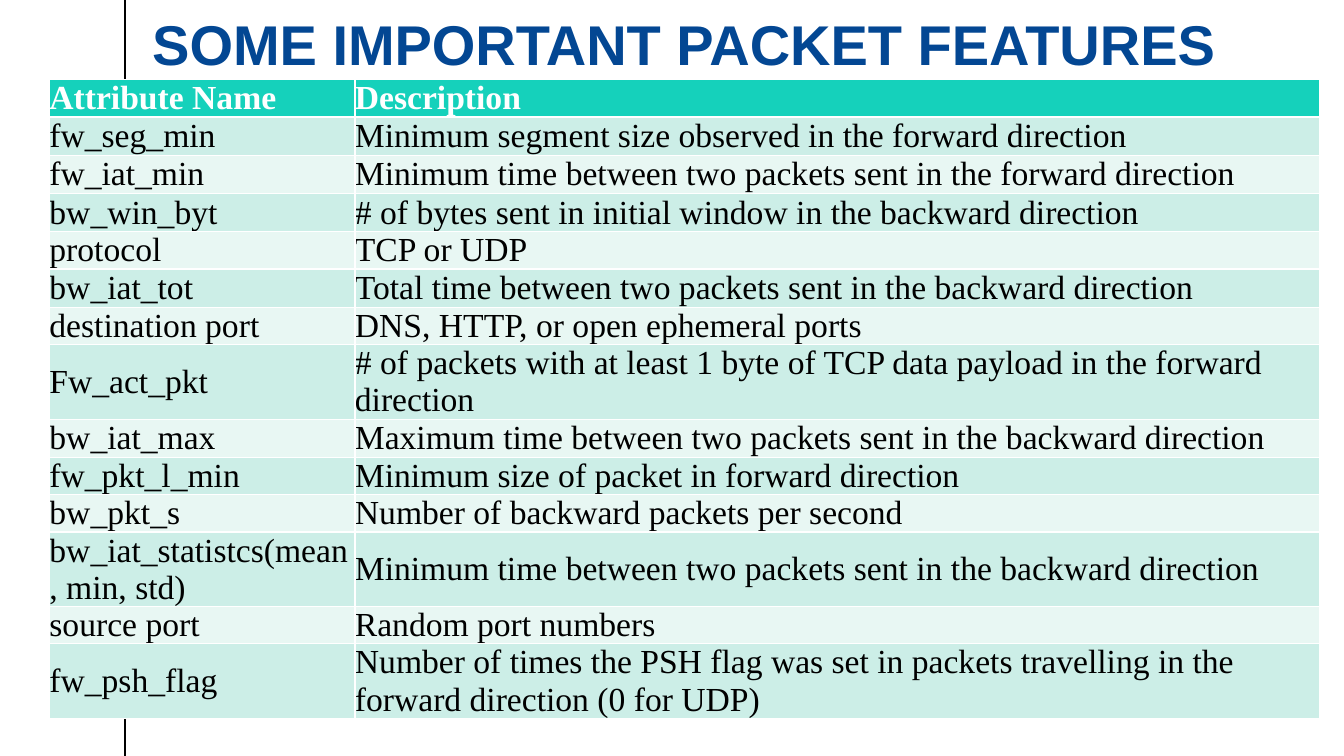
import pptx
import pptx.util
import pptx.dml.color
import pptx.enum.shapes
import pptx.enum.text
import pptx.oxml.ns
from lxml import etree

COLORS = {"title": "034793", "header": "15D1BB", "odd": "CCEEE7", "even": "E8F7F3",
          "light": "FFFFFF", "dark": "000000"}

TITLE = "SOME IMPORTANT PACKET FEATURES"
SNUG, ROOMY, DOUBLE = 0.37, 0.38, 0.74  # row heights in inches
FEATURES = [
    ("Attribute Name", "Description", SNUG),
    ("fw_seg_min", "Minimum segment size observed in the forward direction", ROOMY),
    ("fw_iat_min", "Minimum time between two packets sent in the forward direction", ROOMY),
    ("bw_win_byt", "# of bytes sent in initial window in the backward direction", ROOMY),
    ("protocol", "TCP or UDP", SNUG),
    ("bw_iat_tot", "Total time between two packets sent in the backward direction", ROOMY),
    ("destination port", "DNS, HTTP, or open ephemeral ports", SNUG),
    ("Fw_act_pkt", "# of packets with at least 1 byte of TCP data payload in the forward direction",
     DOUBLE),
    ("bw_iat_max", "Maximum time between two packets sent in the backward direction", ROOMY),
    ("fw_pkt_l_min", "Minimum size of packet in forward direction", SNUG),
    ("bw_pkt_s", "Number of backward packets per second", SNUG),
    ("bw_iat_statistcs(mean, min, std)",
     "Minimum time between two packets sent in the backward direction", DOUBLE),
    ("source port", "Random port numbers", SNUG),
    ("fw_psh_flag", "Number of times the PSH flag was set in packets travelling in the forward "
     "direction (0 for UDP)", DOUBLE),
]
COLUMN_WIDTHS = (3.03, 9.57)

inches = pptx.util.Inches


def rgb(name):
    return pptx.dml.color.RGBColor.from_string(COLORS[name])


def write(frame, text, *, font, size, color, bold=False, spacing=None):
    frame.word_wrap = True
    paragraph = frame.paragraphs[0]
    paragraph.alignment = pptx.enum.text.PP_ALIGN.LEFT
    paragraph.line_spacing = spacing
    run = paragraph.add_run()
    run.text = text
    run.font.name = font
    run.font.size = pptx.util.Pt(size)
    run.font.bold = bold
    run.font.color.rgb = rgb(color)


def add_rule(slide, x, height):
    rule = slide.shapes.add_connector(
        pptx.enum.shapes.MSO_CONNECTOR.STRAIGHT, inches(x), 0, inches(x), height)
    rule.line.color.rgb = rgb("dark")
    rule.line.width = pptx.util.Pt(1)
    etree.SubElement(rule._element.spPr, pptx.oxml.ns.qn("a:effectLst"))


def add_title(slide):
    title = slide.shapes.title
    title.left, title.top, title.width, title.height = map(inches, (1.51, -0.12, 11.4, 1.19))
    frame = title.text_frame
    frame.vertical_anchor = pptx.enum.text.MSO_ANCHOR.MIDDLE
    frame.auto_size = pptx.enum.text.MSO_AUTO_SIZE.NONE
    frame.margin_left = frame.margin_right = 0
    write(frame, TITLE, font="Arial", size=40, color="title", bold=True, spacing=0.9)


def add_features(slide):
    table = slide.shapes.add_table(
        len(FEATURES), len(COLUMN_WIDTHS), inches(0.49), inches(0.79),
        inches(sum(COLUMN_WIDTHS)), inches(sum(height for *_, height in FEATURES))).table
    for column, width in zip(table.columns, COLUMN_WIDTHS):
        column.width = inches(width)
    for index, (*texts, height) in enumerate(FEATURES):
        table.rows[index].height = inches(height)
        header = index == 0
        band = "header" if header else "odd" if index % 2 else "even"
        for cell, text in zip(table.rows[index].cells, texts):
            cell.margin_left = cell.margin_right = cell.margin_top = cell.margin_bottom = 0
            cell.vertical_anchor = pptx.enum.text.MSO_ANCHOR.MIDDLE
            cell.fill.solid()
            cell.fill.fore_color.rgb = rgb(band)
            write(cell.text_frame, text, font="Times New Roman", size=24,
                  color="light" if header else "dark", bold=header)


def main():
    deck = pptx.Presentation()
    deck.slide_width, deck.slide_height = inches(13.33), inches(7.5)
    slide = deck.slides.add_slide(deck.slide_layouts[5])
    add_rule(slide, 1.24, deck.slide_height)
    add_title(slide)
    add_features(slide)
    deck.save("out.pptx")


if __name__ == "__main__":
    main()
